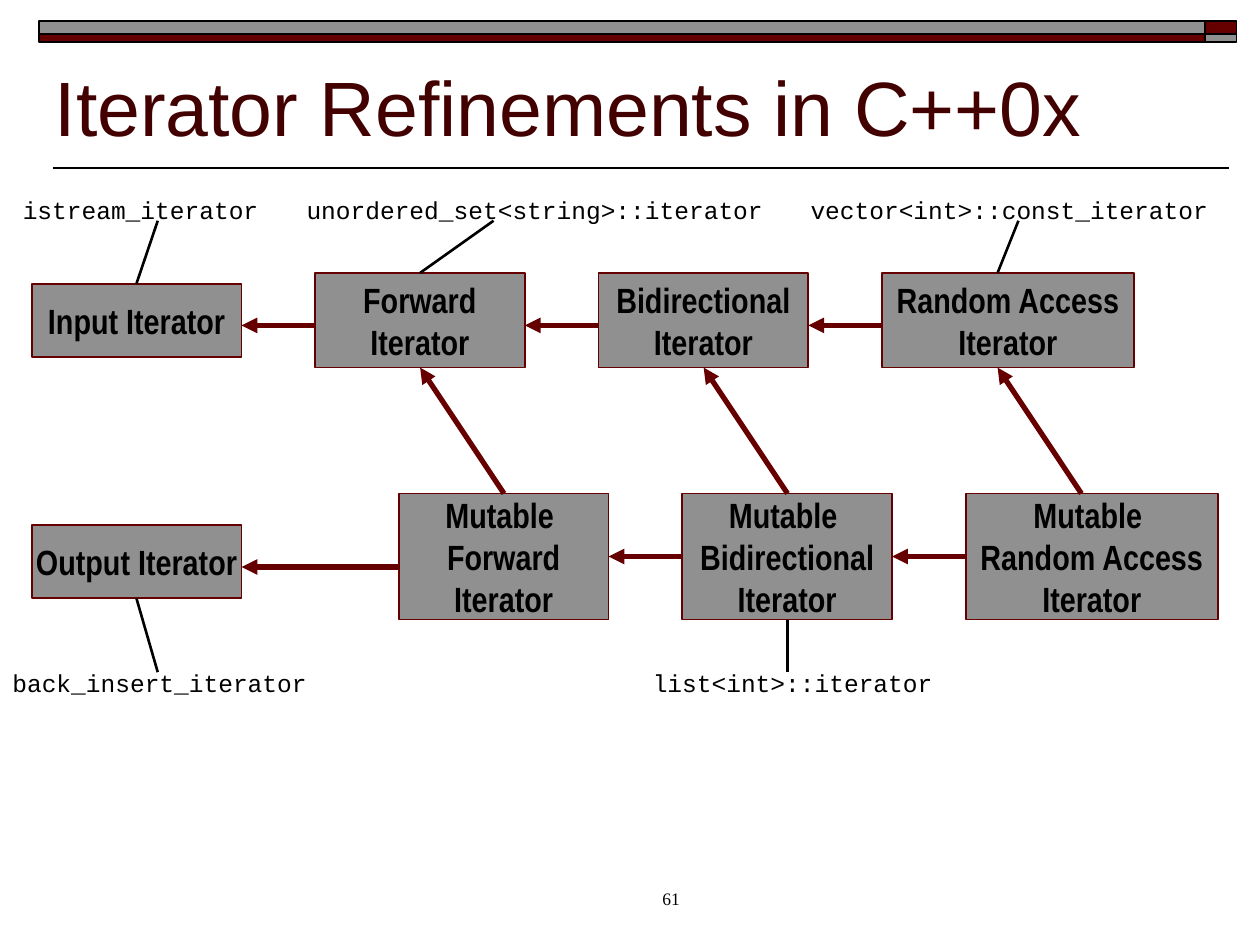
from lxml import etree
from pptx import Presentation
from pptx.dml.color import RGBColor
from pptx.enum.shapes import MSO_CONNECTOR, MSO_SHAPE
from pptx.enum.text import MSO_ANCHOR, MSO_AUTO_SIZE, PP_ALIGN
from pptx.oxml.ns import qn
from pptx.util import Cm, Pt

STRAIGHT = MSO_CONNECTOR.STRAIGHT
RECTANGLE = MSO_SHAPE.RECTANGLE
LEFT, CENTER = PP_ALIGN.LEFT, PP_ALIGN.CENTER
TOP, MIDDLE, BOTTOM = MSO_ANCHOR.TOP, MSO_ANCHOR.MIDDLE, MSO_ANCHOR.BOTTOM
NO_AUTOFIT = MSO_AUTO_SIZE.NONE

COLORS = {"maroon": "660000", "gray": "909090", "title": "420000", "black": "000000"}

# Diagram grid, in centimetres
COLUMN_PITCH = 5.715
REFINED_LEFT = 6.35
MUTABLE_SHIFT = 1.69
REFINED_TOP, REFINED_HEIGHT = 5.5, 1.91
MUTABLE_TOP, MUTABLE_HEIGHT = 9.95, 2.54
BASIC_LEFT, BASIC_WIDTH, BASIC_HEIGHT = 0.64, 4.23, 1.48
INPUT_TOP, OUTPUT_TOP = 5.72, 10.58
OUTPUT_ARROW_Y = 11.43

# Name lines, box width, and where diagonals and labels meet the box
CATEGORIES = [
    (["Forward", "Iterator"], 4.23, 2.12),
    (["Bidirectional", "Iterator"], 4.23, 2.12),
    (["Random Access", "Iterator"], 5.08, 2.33),
]

# Example type, then its left, top and width
EXAMPLES = [
    ("istream_iterator", 0.21, 3.81, 5.26),
    ("unordered_set<string>::iterator", 5.93, 3.81, 9.7),
    ("vector<int>::const_iterator", 16.09, 3.81, 8.53),
    ("back_insert_iterator", 0, 13.34, 6.45),
    ("list<int>::iterator", 12.91, 13.34, 6.15),
]


def color(name):
    return RGBColor.from_string(COLORS[name])


def write(shape, lines, *, font, size, ink="black", bold=False,
          align=LEFT, anchor=TOP, wrap=False):
    frame = shape.text_frame
    frame.auto_size = NO_AUTOFIT
    frame.word_wrap = wrap
    frame.vertical_anchor = anchor
    frame.text = "\n".join(lines)
    for paragraph in frame.paragraphs:
        paragraph.alignment = align
        paragraph.font.name = font
        paragraph.font.size = Pt(size)
        paragraph.font.bold = bold
        paragraph.font.color.rgb = color(ink)


def add_bar(slide, left, top, width, height, fill, outline="black"):
    bar = slide.shapes.add_shape(RECTANGLE, Cm(left), Cm(top), Cm(width), Cm(height))
    bar.shadow.inherit = False
    bar.fill.solid()
    bar.fill.fore_color.rgb = color(fill)
    bar.line.color.rgb = color(outline)
    bar.line.width = Pt(1)
    return bar


def add_category(slide, lines, left, top, width, height):
    box = add_bar(slide, left, top, width, height, "gray", "maroon")
    write(box, lines, font="Arial Narrow", size=20, bold=True,
          align=CENTER, anchor=MIDDLE)


def add_label(slide, text, left, top, width, height, **text_format):
    label = slide.shapes.add_textbox(Cm(left), Cm(top), Cm(width), Cm(height))
    write(label, [text], **text_format)
    return label


def add_line(slide, start, end, ink="black", width=1.5):
    line = slide.shapes.add_connector(STRAIGHT, *map(Cm, start + end))
    line.line.color.rgb = color(ink)
    line.line.width = Pt(width)
    etree.SubElement(line._element.spPr, qn("a:effectLst"))
    return line


def add_arrow(slide, start, end):
    arrow = add_line(slide, start, end, "maroon", 3)
    etree.SubElement(arrow.line._get_or_add_ln(), qn("a:tailEnd"), type="triangle")


def add_header(slide):
    add_line(slide, (24.77, 3.39), (1.06, 3.39), width=1)
    wide, narrow = (0.79, 23.5), (24.29, 0.64)
    upper, lower = (0.42, 0.27), (0.69, 0.16)
    for (left, width), (top, height), fill in [
        (narrow, upper, "maroon"), (wide, upper, "gray"),
        (wide, lower, "maroon"), (narrow, lower, "gray"),
    ]:
        add_bar(slide, left, top, width, height, fill)

    title = slide.shapes.title
    title.left, title.top, title.width, title.height = map(Cm, (0.85, 1.06, 24.13, 2.12))
    write(title, ["Iterator Refinements in C++0x"], font="Arial", size=44,
          ink="title", anchor=BOTTOM, wrap=True)


def add_hierarchy(slide):
    for name, top in (("Input Iterator", INPUT_TOP), ("Output Iterator", OUTPUT_TOP)):
        add_category(slide, [name], BASIC_LEFT, top, BASIC_WIDTH, BASIC_HEIGHT)

    refined_y = REFINED_TOP + 1.06
    mutable_y = MUTABLE_TOP + MUTABLE_HEIGHT / 2
    refined_target = mutable_target = BASIC_LEFT + BASIC_WIDTH
    for column, (lines, width, joint) in enumerate(CATEGORIES):
        left = REFINED_LEFT + column * COLUMN_PITCH
        mutable_left = left + MUTABLE_SHIFT
        add_category(slide, lines, left, REFINED_TOP, width, REFINED_HEIGHT)
        add_category(slide, ["Mutable "] + lines, mutable_left, MUTABLE_TOP,
                     width, MUTABLE_HEIGHT)

        add_arrow(slide, (mutable_left + joint, MUTABLE_TOP),
                  (left + joint, REFINED_TOP + REFINED_HEIGHT))
        add_arrow(slide, (left, refined_y), (refined_target, refined_y))
        arrow_y = mutable_y if column else OUTPUT_ARROW_Y
        add_arrow(slide, (mutable_left, arrow_y), (mutable_target, arrow_y))
        refined_target, mutable_target = left + width, mutable_left + width


def add_examples(slide):
    for text, left, top, width in EXAMPLES:
        add_label(slide, text, left, top, width, 0.86, font="Courier New", size=14)

    upper_y, lower_y = 4.45, 13.55
    for start, end in [
        ((3.18, upper_y), (2.75, INPUT_TOP)),
        ((9.95, upper_y), (8.47, REFINED_TOP)),
        ((20.53, upper_y), (20.11, REFINED_TOP)),
        ((2.75, OUTPUT_TOP + BASIC_HEIGHT), (3.18, lower_y)),
        ((15.88, MUTABLE_TOP + MUTABLE_HEIGHT), (15.88, lower_y)),
    ]:
        add_line(slide, start, end)


def add_page_number(slide):
    number = add_label(slide, "61", 10.58, 17.78, 5.29, 0.85,
                       font="Times New Roman", size=10, align=CENTER, wrap=True)
    number.text_frame.margin_left = Cm(0.86)


def main():
    presentation = Presentation()
    presentation.slide_width, presentation.slide_height = Cm(25.4), Cm(19.05)
    slide = presentation.slides.add_slide(presentation.slide_layouts[5])
    add_header(slide)
    add_hierarchy(slide)
    add_examples(slide)
    add_page_number(slide)
    presentation.save("out.pptx")


if __name__ == "__main__":
    main()
